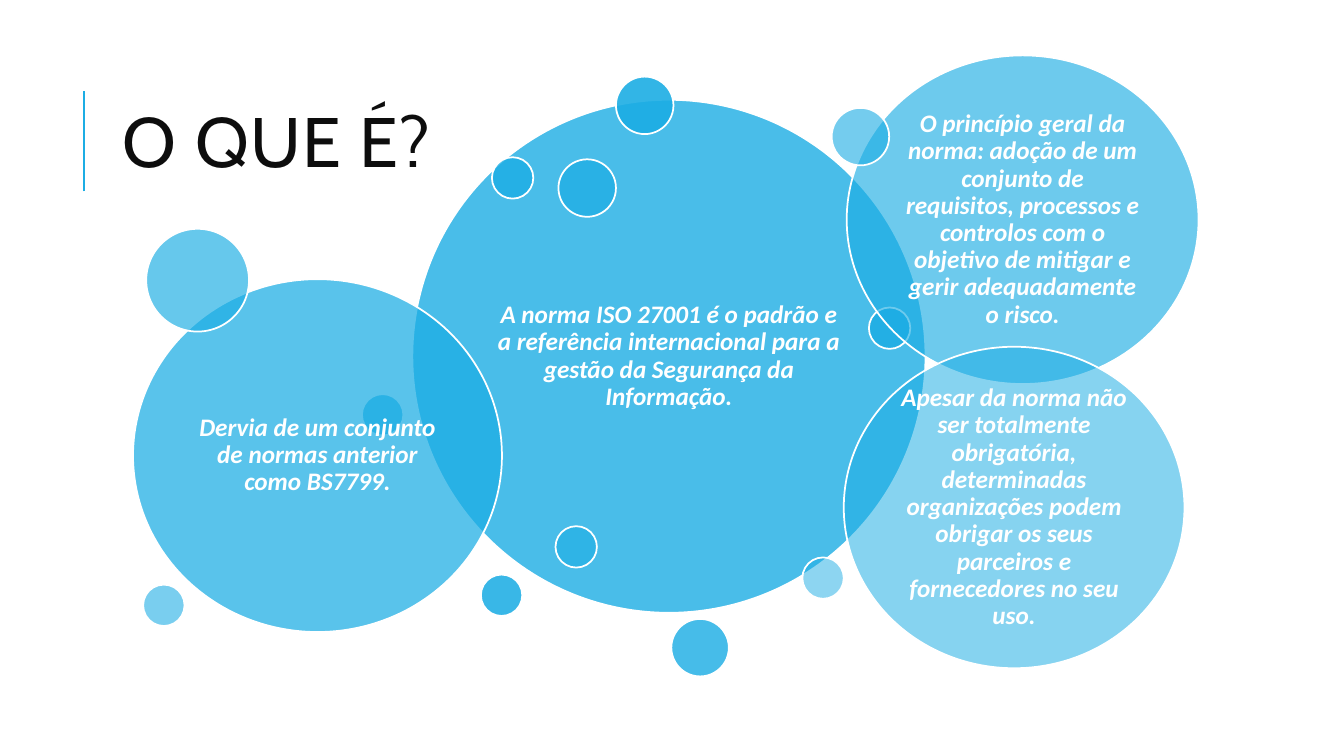
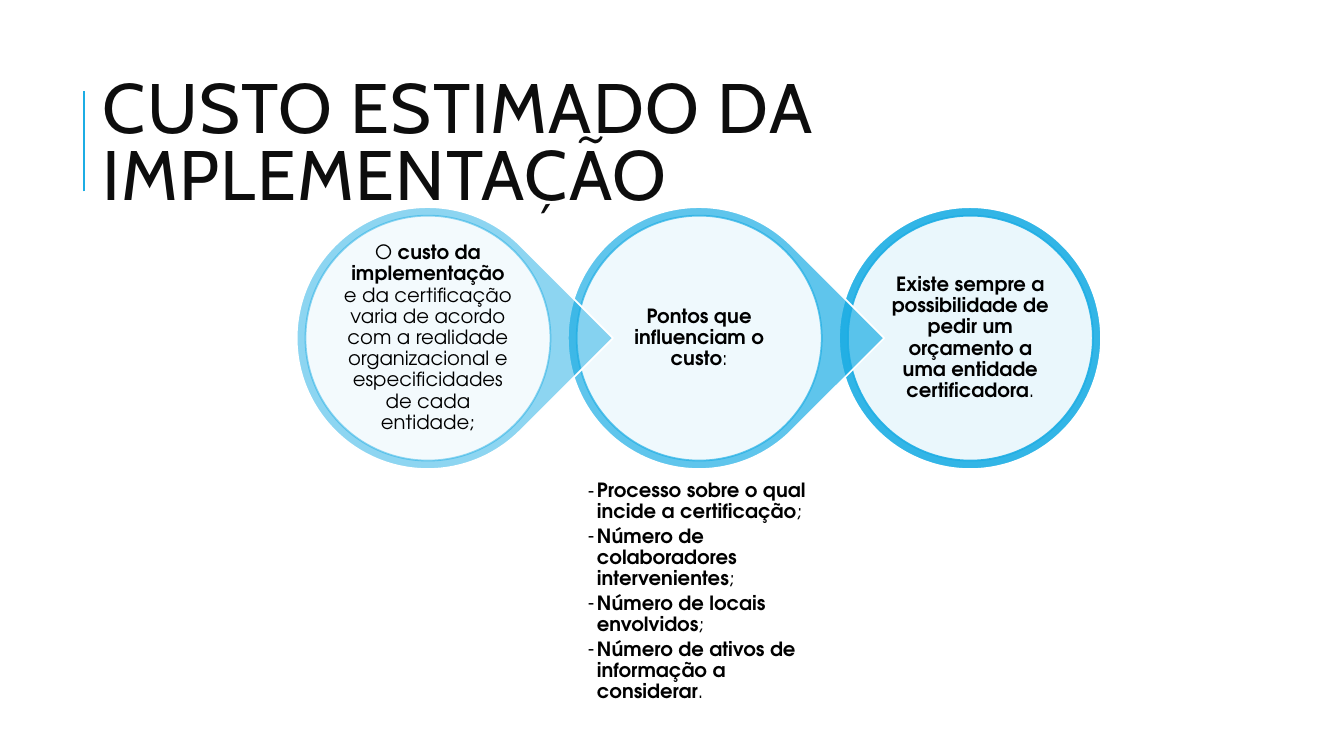
from lxml import etree
from pptx import Presentation
from pptx import util as u
from pptx.dml.color import RGBColor
from pptx.enum import shapes, text
from pptx.oxml.ns import qn

HUES = {"blue": "1CADE4", "white": "FFFFFF", "ink": "0D0D0D", "black": "000000"}
FONTS = {
    "title": {"name": "Cabin", "size": u.Pt(50), "hue": "ink"},
    "bubble": {"name": "Calibri", "size": u.Pt(18), "italic": True, "hue": "white"},
    "step": {"name": "TeX Gyre Adventor", "size": u.Pt(14), "hue": "black"},
}
OVAL, DROP = shapes.MSO_SHAPE.OVAL, shapes.MSO_SHAPE.TEAR
MID, TOP = text.MSO_ANCHOR.MIDDLE, text.MSO_ANCHOR.TOP
LEFT, MEAN = text.PP_ALIGN.LEFT, text.PP_ALIGN.CENTER


def assign(item, values):
    for key, value in values.items():
        setattr(item, key, value)


class Deck:
    """Holds the style and the current slide; lengths are percent of the slide."""

    def __init__(self):
        self.show = Presentation()
        assign(self.show, {"slide_width": u.Inches(13.33), "slide_height": u.Inches(7.5)})
        self.wide, self.high = self.show.slide_width, self.show.slide_height
        self.slide = None

    def box(self, left, top, width, height=None):
        """A box in percent; without a height it is square."""
        wide = int(self.wide * width / 100)
        high = wide if height is None else int(self.high * height / 100)
        return int(self.wide * left / 100), int(self.high * top / 100), wide, high

    def place(self, shape, *area):
        assign(shape, dict(zip(("left", "top", "width", "height"), self.box(*area))))

    def begin(self, layout, title, left):
        first = self.slide is None
        self.slide = self.show.slides.add_slide(self.show.slide_layouts[layout])
        head = self.slide.shapes.title
        self.place(head, left, 8.53, 79.73, 21.87)
        self.label(head, [title], "title", LEFT, MID, 0.8)
        for run in head.text_frame.paragraphs[0].runs:
            run.font._element.set("spc", "100")
        if first:
            self.rule()

    def rule(self):
        """The accent line, kept on the master for every slide."""
        x, y, _, tall = self.box(6.23, 12, 0, 13.33)
        line = self.slide.shapes.add_connector(shapes.MSO_CONNECTOR.STRAIGHT, x, y + tall, x, y)
        line.line.color.rgb = RGBColor.from_string(HUES["blue"])
        line.line.width = u.Pt(1.5)
        etree.SubElement(line.element.spPr, qn("a:effectLst"))
        line.element.nvCxnSpPr.cNvPr.set("id", "99")
        self.show.slide_master.shapes.element.append(line.element)

    def label(self, shape, lines, style, align, anchor, space=0.9, inset=None, bullet=None):
        """Fill a shape with paragraphs; words between asterisks are bold."""
        frame = shape.text_frame
        assign(frame, {"word_wrap": True, "auto_size": text.MSO_AUTO_SIZE.NONE,
                       "vertical_anchor": anchor})
        if inset is not None:
            sides = ("left", "right", "top", "bottom")
            assign(frame, {f"margin_{side}": u.Inches(inset) for side in sides})
        look = dict(FONTS[style])
        hue = RGBColor.from_string(HUES[look.pop("hue")])
        for i, line in enumerate(lines):
            para = frame.add_paragraph() if i else frame.paragraphs[0]
            if bullet:
                props = para._p.get_or_add_pPr()
                props.set("marL", str(u.Inches(0.14)))
                props.set("indent", str(-u.Inches(0.09)))
                etree.SubElement(props, qn("a:buChar")).set("char", bullet)
            assign(para, {"alignment": align, "line_spacing": space,
                          "space_before": u.Pt(0), "space_after": u.Pt(2.5 if bullet else 0)})
            for j, part in enumerate(line.split("*")):
                if part:
                    run = para.add_run()
                    run.text = part
                    assign(run.font, {**look, "bold": j % 2 == 1})
                    run.font.color.rgb = hue

    def disc(self, area, fill, edge, alpha, rim=100, kind=OVAL):
        shape = self.slide.shapes.add_shape(kind, *self.box(*area))
        shape.shadow.inherit = False
        shape.fill.solid()
        shape.fill.fore_color.rgb = RGBColor.from_string(HUES[fill])
        shape.line.color.rgb = RGBColor.from_string(HUES[edge])
        shape.line.width = u.Pt(1.25)
        for route, share in (("p:spPr/", alpha), ("p:spPr/a:ln/", rim)):
            for tint in shape.element.xpath(route + "a:solidFill/a:srgbClr"):
                if share < 100:
                    etree.SubElement(tint, qn("a:alpha")).set("val", str(round(share * 1000)))
        return shape

    def bubble(self, area, alpha, words=None):
        shape = self.disc(area, "blue", "white", alpha)
        if words:
            self.label(shape, [f"*{words}*"], "bubble", MEAN, MID, inset=0.07)

    def step(self, left, alpha, words, last):
        """A ring, pointed unless last, with a pale disc of text on it."""
        ring = self.disc((left - 0.66, 27.4, 19.5), "blue", "white", alpha,
                         kind=OVAL if last else DROP)
        if not last:
            ring.adjustments[0] = 1
            ring.rotation = 45
        face = self.disc((left, 28.53, 18.23), "white", "blue", 90, alpha)
        self.label(face, [words], "step", MEAN, MID, inset=0.02)

    def notes(self, lines, *area):
        body = self.slide.placeholders[1]
        self.place(body, *area)
        self.label(body, lines, "step", LEFT, TOP, inset=0.06, bullet="-")


# Bubbles from back to front: area, then words if any
DOT, BALL = 3.08, 4.28
MAIN = ((30.68, 13.2, 38.18),
        "A norma ISO 27001 é o padrão e a referência internacional para a "
        "gestão da Segurança da Informação.")
BUBBLES = [
    ((45.83, 10.13, BALL),),
    ((35.78, 76, DOT),),
    ((64.65, 40.67, DOT),),
    ((49.95, 81.87, BALL),),
    ((36.6, 20.8, DOT),),
    ((26.93, 52.13, DOT),),
    ((9.9, 36.93, 27.45, 46.67), "Dervia de um conjunto de normas anterior como BS7799."),
    ((41.55, 21.07, BALL),),
    ((10.88, 30.27, 7.65),),
    ((63, 7.33, 26.18, 43.47),
     "O princípio geral da norma: adoção de um conjunto de requisitos, processos e "
     "controlos com o objetivo de mitigar e gerir adequadamente o risco."),
    ((61.88, 14.27, BALL),),
    ((10.65, 77.33, DOT),),
    ((41.33, 69.6, DOT),),
    ((62.78, 45.87, 25.35, 42.53),
     "Apesar da norma não ser totalmente obrigatória, determinadas organizações podem "
     "obrigar os seus parceiros e fornecedores no seu uso."),
    ((59.7, 73.73, DOT),),
]
STEPS = [
    "O *custo da implementação *e da certificação varia de acordo com a realidade "
    "organizacional e especificidades de cada entidade;",
    "*Pontos que influenciam o custo*:",
    "*Existe sempre a possibilidade de pedir um orçamento a uma entidade certificadora*.",
]
POINTS = [
    "*Processo sobre o qual incide a certificação*;",
    "*Número de colaboradores intervenientes*;",
    "*Número de locais envolvidos*;",
    "*Número de ativos de informação a considerar*.",
]


def main():
    deck = Deck()

    # What it is: bubbles fade evenly from 90 to 50 percent
    deck.begin(5, "O QUE É?", 8.4)
    deck.bubble(MAIN[0], 80, MAIN[1])
    fade = 40 / (len(BUBBLES) - 1)
    for i, (area, *words) in enumerate(BUBBLES):
        deck.bubble(area, 90 - i * fade, *words)

    # Cost: steps drawn from right to left so the points overlap
    deck.begin(1, "CUSTO ESTIMADO DA IMPLEMENTAÇÃO", 6.9)
    start, pitch = 22.73, 20.18
    for i in reversed(range(len(STEPS))):
        deck.step(start + i * pitch, 50 + 20 * i, STEPS[i], i == len(STEPS) - 1)
    deck.notes(POINTS, start + pitch, 62.8, 18.23, 19.07)

    deck.show.save("out.pptx")


if __name__ == "__main__":
    main()
